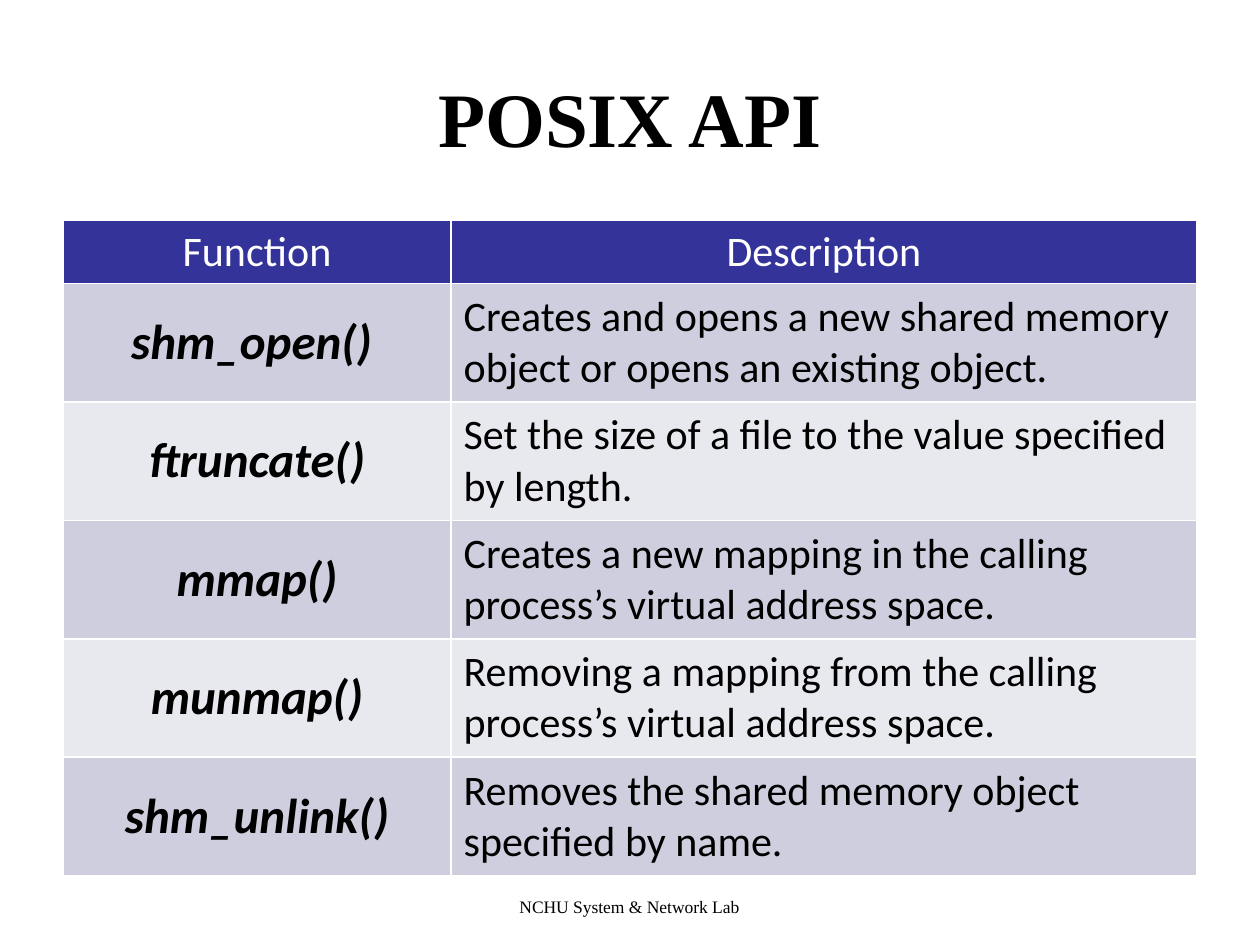
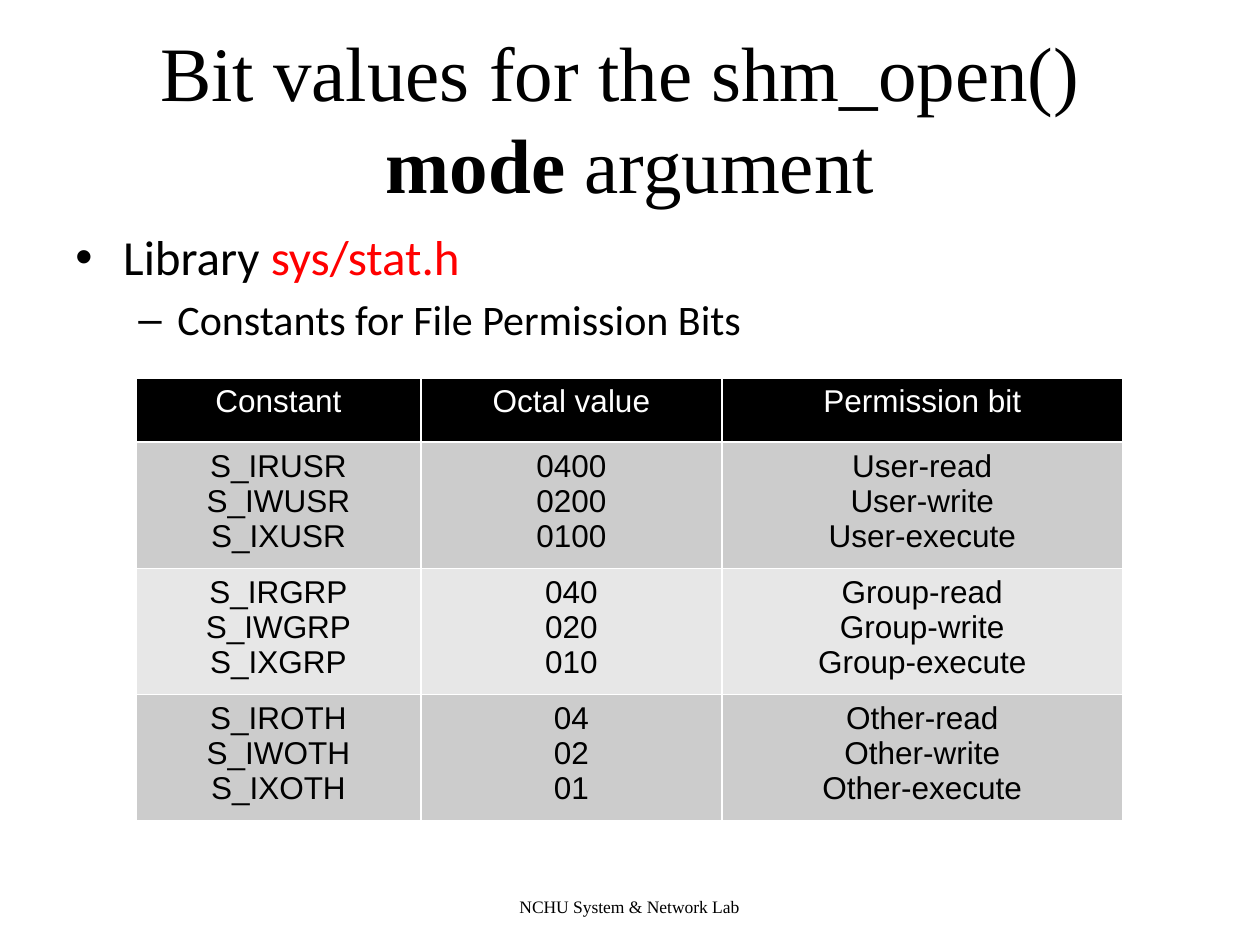
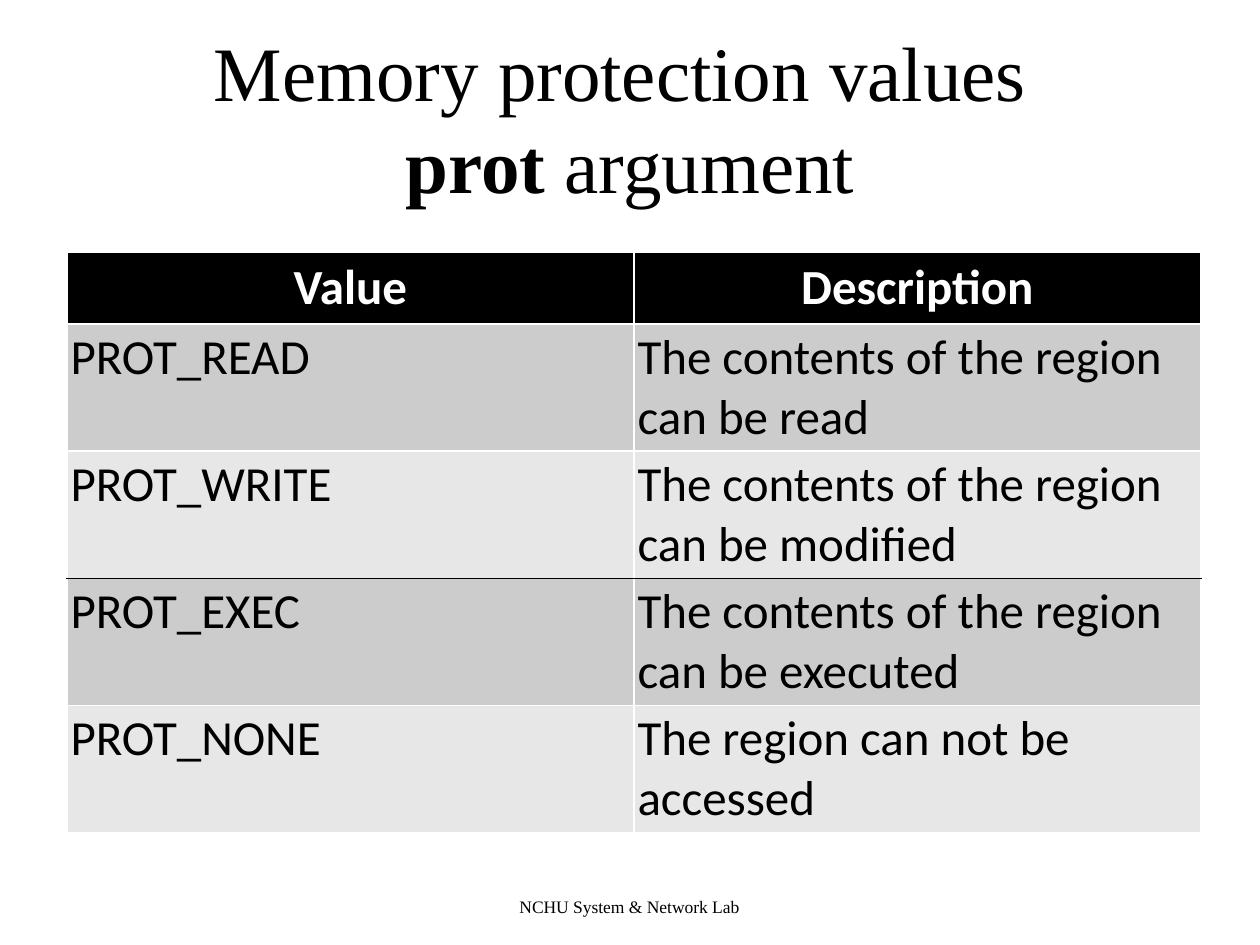
from dataclasses import dataclass

from lxml import etree
from pptx import Presentation
from pptx.dml.color import RGBColor
from pptx.enum.text import MSO_ANCHOR, PP_ALIGN
from pptx.oxml.ns import qn
from pptx.util import Inches, Pt

LEFT, CENTER = PP_ALIGN.LEFT, PP_ALIGN.CENTER
TOP, MIDDLE = MSO_ANCHOR.TOP, MSO_ANCHOR.MIDDLE


@dataclass(frozen=True)
class Theme:
    serif: str = "Times New Roman"
    body: str = "Calibri"
    sans: str = "Arial"
    black: str = "000000"
    white: str = "FFFFFF"
    red: str = "FF0000"
    blue_header: str = "333399"
    blue_bands: tuple = ("CECEDE", "E8E8EF")
    gray_bands: tuple = ("CCCCCC", "E7E7E7")
    title: int = 44
    large: int = 28
    medium: int = 24
    small: int = 18
    footer: int = 10
    border: int = 1


THEME = Theme()


@dataclass(frozen=True)
class TextStyle:
    font: str
    size: int
    color: str = THEME.black
    align: int = LEFT
    bold: bool = False
    italic: bool = False


TITLE_STYLE = TextStyle(THEME.serif, THEME.title, align=CENTER)
FOOTER_STYLE = TextStyle(THEME.serif, THEME.footer, align=CENTER)
FUNCTION_STYLE = TextStyle(THEME.body, THEME.large, align=CENTER, bold=True, italic=True)
DESCRIPTION_STYLE = TextStyle(THEME.body, THEME.medium)
PERMISSION_STYLE = TextStyle(THEME.sans, THEME.small, align=CENTER)
PROTECTION_STYLE = TextStyle(THEME.body, THEME.large)

FOOTER = "NCHU System & Network Lab"

OUTLINE = [
    ("•", 0, 0.38, 0.38, THEME.large, [("Library ", None), ("sys/stat.h", "red")]),
    ("–", 1, 0.81, 0.31, THEME.medium, [("Constants for File Permission Bits", None)]),
]

API_TABLE = dict(
    at=(0.5, 1.75), columns=(3.08, 5.92), header_height=0.5, row_height=0.94,
    header_fill=THEME.blue_header, bands=THEME.blue_bands, anchor=MIDDLE,
    header_style=TextStyle(THEME.body, THEME.medium, THEME.white, CENTER),
    column_styles=(FUNCTION_STYLE, DESCRIPTION_STYLE),
    header_inset=(0.1, 0.05), inset=(0.1, 0.05),
    header=("Function", "Description"),
    rows=[
        ("shm_open() ", "Creates and opens a new shared memory object or opens an existing object."),
        ("ftruncate()", "Set the size of a file to the value specified\nby length."),
        ("mmap()", "Creates a new mapping in the calling process’s virtual address space."),
        ("munmap()", "Removing a mapping from the calling process’s virtual address space."),
        ("shm_unlink()", "Removes the shared memory object specified by name."),
    ],
)

PERMISSION_TABLE = dict(
    at=(1.08, 3), columns=(2.26, 2.39, 3.18), header_height=0.51, row_height=1,
    header_fill=THEME.black, bands=THEME.gray_bands, anchor=TOP,
    header_style=TextStyle(THEME.sans, THEME.small, THEME.white, CENTER),
    column_styles=(PERMISSION_STYLE,) * 3,
    header_inset=(0.05, 0.05), inset=(0.05, 0.05),
    header=("Constant", "Octal value", "Permission bit"),
    rows=[
        ("S_IRUSR\nS_IWUSR\nS_IXUSR", "0400\n0200\n0100", "User-read\nUser-write\nUser-execute"),
        ("S_IRGRP\nS_IWGRP\nS_IXGRP", "040\n020\n010", "Group-read\nGroup-write\nGroup-execute"),
        ("S_IROTH\nS_IWOTH\nS_IXOTH", "04\n02\n01", "Other-read\nOther-write\nOther-execute"),
    ],
)

PROTECTION_TABLE = dict(
    at=(0.53, 2), columns=(4.5, 4.5), header_height=0.57, row_height=1.01,
    header_fill=THEME.black, bands=THEME.gray_bands, anchor=TOP,
    header_style=TextStyle(THEME.body, THEME.large, THEME.white, CENTER, bold=True),
    column_styles=(PROTECTION_STYLE,) * 2,
    header_inset=(0.1, 0.05), inset=(0.03, 0.03), rule_below=2,
    header=("Value", "Description"),
    rows=[
        ("PROT_READ", "The contents of the region can be read"),
        ("PROT_WRITE", "The contents of the region can be modified"),
        ("PROT_EXEC", "The contents of the region can be executed"),
        ("PROT_NONE", "The region can not be accessed"),
    ],
)

SLIDES = [
    dict(title=[[("POSIX API", "bold")]], table=API_TABLE),
    dict(
        title=[[("Bit values for the shm_open() ", None)], [("mode", "bold"), (" argument", None)]],
        outline=OUTLINE,
        table=PERMISSION_TABLE,
    ),
    dict(
        title=[[("Memory protection values ", None)], [("prot", "bold"), (" argument", None)]],
        table=PROTECTION_TABLE,
    ),
]


def style_paragraph(paragraph, style):
    paragraph.alignment = style.align
    font = paragraph.font
    font.name, font.size = style.font, Pt(style.size)
    font.bold, font.italic = style.bold, style.italic
    font.color.rgb = RGBColor.from_string(style.color)


def add_runs(paragraph, pieces):
    for text, emphasis in pieces:
        run = paragraph.add_run()
        run.text = text
        if emphasis == "bold":
            run.font.bold = True
        elif emphasis == "red":
            run.font.color.rgb = RGBColor.from_string(THEME.red)


def add_text_frame(slide, box, anchor=TOP):
    frame = slide.shapes.add_textbox(*map(Inches, box)).text_frame
    frame.word_wrap = True
    frame.vertical_anchor = anchor
    return frame


def add_title(slide, lines):
    paragraph = add_text_frame(slide, (0.5, 0.3, 9, 1.25), MIDDLE).paragraphs[0]
    style_paragraph(paragraph, TITLE_STYLE)
    for number, pieces in enumerate(lines):
        if number:
            paragraph.add_line_break()
        add_runs(paragraph, pieces)


def add_footer(slide):
    paragraph = add_text_frame(slide, (2.87, 7.06, 4.25, 0.24)).paragraphs[0]
    style_paragraph(paragraph, FOOTER_STYLE)
    add_runs(paragraph, [(FOOTER, None)])


def add_outline(slide, items):
    frame = add_text_frame(slide, (0.5, 1.75, 9, 1.15))
    for number, (mark, level, indent, hang, size, pieces) in enumerate(items):
        paragraph = frame.add_paragraph() if number else frame.paragraphs[0]
        style_paragraph(paragraph, TextStyle(THEME.body, size))
        paragraph.level = level
        paragraph.space_before = Pt(size * 0.2)
        properties = paragraph._p.get_or_add_pPr()
        properties.set("marL", str(Inches(indent)))
        properties.set("indent", str(-Inches(hang)))
        bullet_font = etree.Element(qn("a:buFont"), typeface=THEME.sans)
        bullet = etree.Element(qn("a:buChar"), char=mark)
        defaults = properties.find(qn("a:defRPr"))
        defaults.addprevious(bullet_font)
        defaults.addprevious(bullet)
        add_runs(paragraph, pieces)


def set_borders(cell, top, bottom):
    properties = cell._tc.get_or_add_tcPr()
    sides = (("lnL", THEME.white), ("lnR", THEME.white), ("lnT", top), ("lnB", bottom))
    for side, color in sides:
        line = etree.SubElement(properties, qn(f"a:{side}"), w=str(Pt(THEME.border)))
        fill = etree.SubElement(line, qn("a:solidFill"))
        etree.SubElement(fill, qn("a:srgbClr"), val=color)


def fill_cell(cell, text, style, fill, inset, anchor):
    cell.fill.solid()
    cell.fill.fore_color.rgb = RGBColor.from_string(fill)
    cell.margin_left = cell.margin_right = Inches(inset[0])
    cell.margin_top = cell.margin_bottom = Inches(inset[1])
    cell.vertical_anchor = anchor
    cell.text = text
    for paragraph in cell.text_frame.paragraphs:
        style_paragraph(paragraph, style)


def add_table(slide, content):
    rows = [content["header"], *content["rows"]]
    columns = content["columns"]
    heights = [content["header_height"]] + [content["row_height"]] * len(content["rows"])
    size = (sum(columns), sum(heights))
    table = slide.shapes.add_table(
        len(rows), len(columns), *map(Inches, content["at"] + size)
    ).table
    table.first_row = table.horz_banding = False
    for column, width in zip(table.columns, columns):
        column.width = Inches(width)
    rule = content.get("rule_below")
    for r, (values, height) in enumerate(zip(rows, heights)):
        table.rows[r].height = Inches(height)
        top = THEME.black if rule and r == rule + 1 else THEME.white
        bottom = THEME.black if rule and r == rule else THEME.white
        fill = content["bands"][(r - 1) % 2] if r else content["header_fill"]
        inset = content["inset"] if r else content["header_inset"]
        for c, text in enumerate(values):
            cell = table.cell(r, c)
            style = content["column_styles"][c] if r else content["header_style"]
            set_borders(cell, top, bottom)
            fill_cell(cell, text, style, fill, inset, content["anchor"])


def main():
    deck = Presentation()
    deck.slide_width, deck.slide_height = Inches(10), Inches(7.5)
    blank = deck.slide_layouts[6]
    for content in SLIDES:
        slide = deck.slides.add_slide(blank)
        add_title(slide, content["title"])
        add_outline(slide, content.get("outline", []))if "outline" in content else None
        add_footer(slide)
        add_table(slide, content["table"])
    deck.save("out.pptx")


if __name__ == "__main__":
    main()
